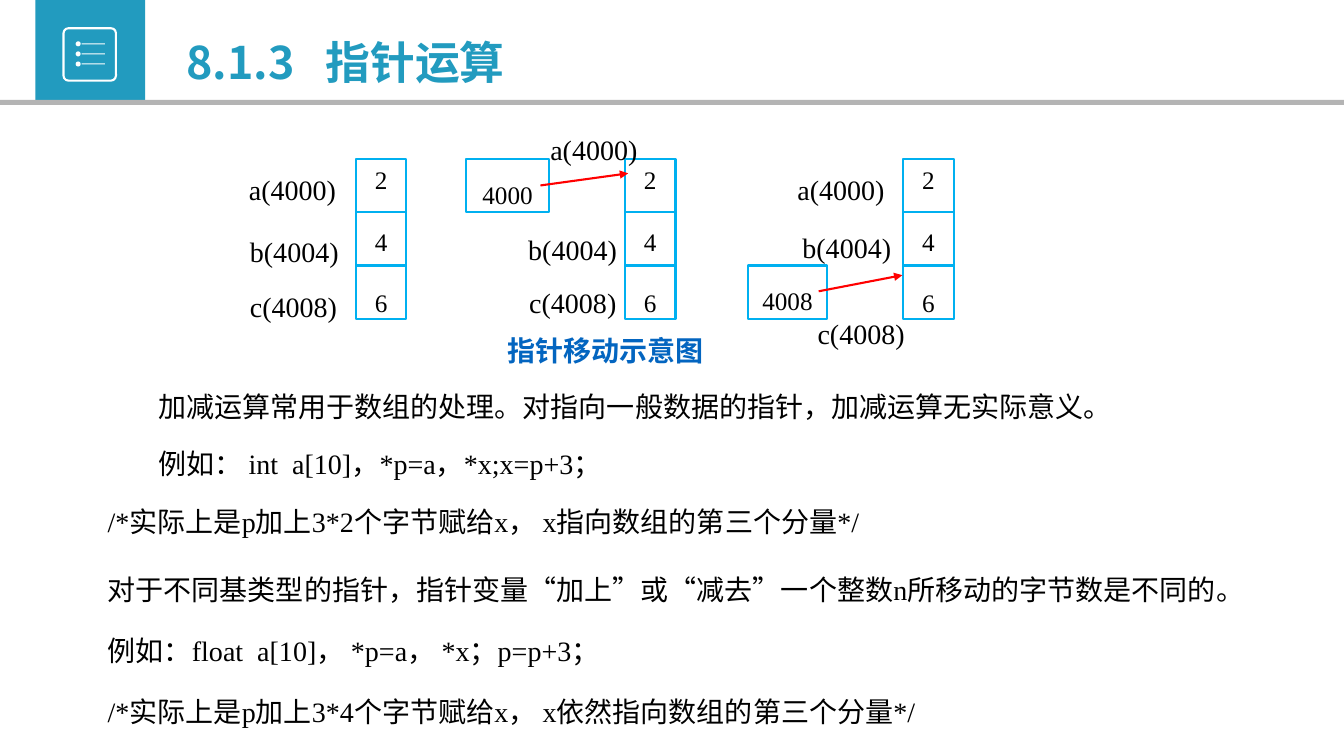
from lxml.etree import SubElement
from pptx import Presentation
from pptx.dml.color import RGBColor
from pptx.enum.shapes import MSO_CONNECTOR, MSO_SHAPE
from pptx.enum.text import MSO_ANCHOR, PP_ALIGN
from pptx.oxml.ns import qn
from pptx.util import Inches, Pt

COLORS = {
    "teal": "229BBF", "gray": "B4B4B4", "white": "FFFFFF", "black": "000000",
    "cell": "00B0F0", "arrow": "FF0000", "caption": "0365C0",
}
LATIN, CJK = "Times New Roman", "Noto Sans CJK SC"
WIDTH, HEIGHT = 13.33, 7.5

deck = Presentation()
deck.slide_width, deck.slide_height = Inches(WIDTH), Inches(HEIGHT)
slide = deck.slides.add_slide(deck.slide_layouts[6])
shapes = slide.shapes


def add_box(kind, left, top, width, height, fill=None, line=None):
    """Add a preset shape, or a text box when kind is None."""
    place = [Inches(length) for length in (left, top, width, height)]
    if kind is None:
        return shapes.add_textbox(*place)
    box = shapes.add_shape(kind, *place)
    box.shadow.inherit = False
    if fill:
        box.fill.solid()
        box.fill.fore_color.rgb = RGBColor.from_string(COLORS[fill])
    else:
        box.fill.background()
    if line:
        box.line.color.rgb = RGBColor.from_string(COLORS[line])
        box.line.width = Pt(1.5)
    else:
        box.line.fill.background()
    return box


def write(box, lines, size, color="black", font=LATIN, bold=False, wrap=True,
          align=PP_ALIGN.LEFT, spacing=1.0):
    frame = box.text_frame
    frame.text = "\n".join(lines)
    frame.word_wrap = wrap
    frame.vertical_anchor = MSO_ANCHOR.TOP
    for paragraph in frame.paragraphs:
        paragraph.alignment = align
        paragraph.line_spacing = spacing
        for run in paragraph.runs:
            run.font.size, run.font.bold, run.font.name = Pt(size), bold, font
            run.font.color.rgb = RGBColor.from_string(COLORS[color])
            SubElement(run._r.get_or_add_rPr(), qn("a:ea"), typeface=CJK)
    return frame


# Header with the list icon
add_box(MSO_SHAPE.RECTANGLE, 0.35, 0, 1.09, 0.99, "teal")
icon_frame = add_box(MSO_SHAPE.ROUNDED_RECTANGLE, 0.63, 0.28, 0.52, 0.52, line="white")
icon_frame.adjustments[0] = 0.095
for row in range(3):
    bullet_top = 0.41 + row * 0.1
    add_box(MSO_SHAPE.OVAL, 0.75, bullet_top, 0.05, 0.05, "white")
    add_box(MSO_SHAPE.RECTANGLE, 0.81, bullet_top + 0.02, 0.23, 0.01, "white")
add_box(MSO_SHAPE.RECTANGLE, 0, 0.99, WIDTH, 0.05, "gray")
title = add_box(None, 1.75, 0.3, 3.48, 0.64)
write(title, ["8.1.3   指针运算"], 32, "teal", CJK, bold=True, wrap=False)

# Three states of the array, with the pointer that moves along it
ARRAY_TOP, CELL_WIDTH, CELL_HEIGHT = 1.58, 0.5, 0.527
strokes = []
for array_left in (3.53, 6.2, 8.96):
    array = add_box(MSO_SHAPE.RECTANGLE, array_left, ARRAY_TOP,
                    CELL_WIDTH, 3 * CELL_HEIGHT, "white", "cell")
    values = write(array, ["2", "4", "6"], 18, align=PP_ALIGN.CENTER)
    for value in values.paragraphs[1:]:
        value.space_before = Pt(22.5)
    for row in (1, 2):
        y = ARRAY_TOP + row * CELL_HEIGHT
        strokes.append((array_left, y, array_left + CELL_WIDTH, y, "cell"))

for address, left, row, width in (("4000", 4.62, 0, 0.83), ("4008", 7.42, 2, 0.78)):
    pointer = add_box(MSO_SHAPE.RECTANGLE, left, ARRAY_TOP + row * CELL_HEIGHT,
                      width, CELL_HEIGHT, "white", "cell")
    write(pointer, [address], 18, align=PP_ALIGN.CENTER, spacing=1.5)

strokes += [(5.36, 1.84, 6.23, 1.72, "arrow"), (8.12, 2.89, 8.95, 2.73, "arrow")]
for x1, y1, x2, y2, color in strokes:
    stroke = shapes.add_connector(MSO_CONNECTOR.STRAIGHT, Inches(x1), Inches(y1),
                                  Inches(x2), Inches(y2))
    stroke.line.color.rgb = RGBColor.from_string(COLORS[color])
    stroke.line.width = Pt(1.5)
    SubElement(stroke._element.spPr, qn("a:effectLst"))
    if color == "arrow":
        SubElement(stroke.line._get_or_add_ln(), qn("a:tailEnd"), type="triangle")

ELEMENTS = ("a(4000)", "b(4004)", "c(4008)")
LABEL_PLACES = (
    ((2.37, 1.5), (2.38, 2.11), (2.38, 2.66)),
    ((5.36, 1.1), (5.14, 2.09), (5.15, 2.62)),
    ((7.81, 1.5), (7.86, 2.07), (8.01, 2.92)),
)
for places in LABEL_PLACES:
    for element, (left, top) in zip(ELEMENTS, places):
        write(add_box(None, left, top, 1.09, 0.55), [element], 20, spacing=1.5)

caption = add_box(None, 5.03, 3.31, 1.98, 0.34)
caption_frame = write(caption, ["指针移动示意图"], 20, "caption", CJK, bold=True, wrap=False)
caption_frame.margin_left = caption_frame.margin_right = 0
caption_frame.margin_top = caption_frame.margin_bottom = 0
caption_frame.vertical_anchor = MSO_ANCHOR.MIDDLE

# Explanations: place, line spacing, number of indented paragraphs, text
explanations = (
    (3.71, 10.45, 1.71, 1.3, 2, [
        "加减运算常用于数组的处理。对指向一般数据的指针，加减运算无实际意义。",
        "例如： int  a[10]，*p=a，*x;x=p+3；",
        "/*实际上是p加上3*2个字节赋给x， x指向数组的第三个分量*/",
    ]),
    (5.5, 11.74, 1.8, 1.4, 0, [
        "对于不同基类型的指针，指针变量“加上”或“减去”一个整数n所移动的字节数是不同的。",
        "例如：float  a[10]， *p=a， *x；p=p+3；",
        "/*实际上是p加上3*4个字节赋给x， x依然指向数组的第三个分量*/",
    ]),
)
for top, width, height, spacing, indented, lines in explanations:
    explanation = write(add_box(None, 0.97, top, width, height), lines, 20,
                        align=PP_ALIGN.JUSTIFY, spacing=spacing)
    for number, paragraph in enumerate(explanation.paragraphs):
        properties = paragraph._p.get_or_add_pPr()
        before = SubElement(properties, qn("a:spcBef"))
        SubElement(before, qn("a:spcPct"), val="50000")
        if number < indented:
            properties.set("indent", str(Inches(0.5)))

deck.save("out.pptx")
